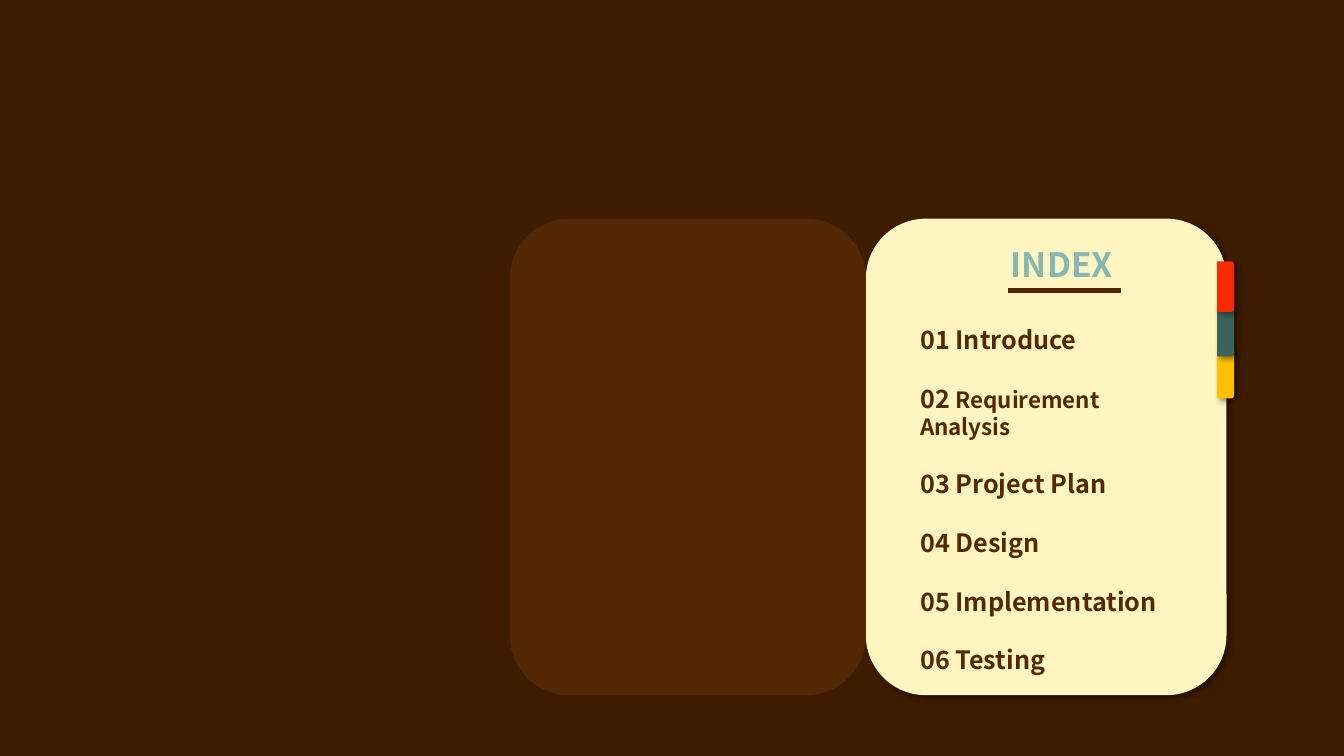
from dataclasses import dataclass

import pptx
import pptx.dml.color
import pptx.enum.shapes
import pptx.enum.text
import pptx.oxml
import pptx.oxml.ns
import pptx.util
from pptx.dml.color import RGBColor
from pptx.util import Cm

FONT = "Noto Sans CJK KR"
BACKGROUND = RGBColor(0x3D, 0x1C, 0x00)
BROWN = RGBColor(0x54, 0x28, 0x04)
CREAM = RGBColor(0xFF, 0xF5, 0xC0)
YELLOW = RGBColor(0xFF, 0xC0, 0x00)
GREEN = RGBColor(0x3B, 0x63, 0x5D)
RED = RGBColor(0xFA, 0x2A, 0x00)
TEAL = RGBColor(0x86, 0xB8, 0xB1)

SHAPE = pptx.enum.shapes.MSO_SHAPE
SHADOW_XML = (
    f'<a:effectLst {pptx.oxml.ns.nsdecls("a")}>'
    '<a:outerShdw blurRad="50800" dist="38100" dir="2700000" algn="tl" rotWithShape="0">'
    '<a:srgbClr val="000000"><a:alpha val="40000"/></a:srgbClr>'
    '</a:outerShdw></a:effectLst>'
)


@dataclass
class Panel:
    left: float
    top: float
    width: float
    height: float
    color: RGBColor
    kind: int = SHAPE.ROUNDED_RECTANGLE
    rotation: float = 0
    shadow: bool = True


@dataclass
class Entry:
    number: str
    label: str
    size: float = 18


PANELS = [
    Panel(21.82, 5.51, 9.09, 12.01, CREAM),
    Panel(12.85, 5.51, 8.97, 12.01, BROWN, shadow=False),
] + [
    Panel(30.25, top, 1.27, 0.43, color, SHAPE.ROUND_2_SAME_RECTANGLE, 90)
    for top, color in ((9.19, YELLOW), (8.13, GREEN), (7.01, RED))
]
ENTRIES = [
    Entry("01", "Introduce"),
    Entry("02", "Requirement Analysis", 16),
    Entry("03", "Project Plan"),
    Entry("04", "Design"),
    Entry("05", "Implementation"),
    Entry("06", "Testing"),
]


def add_panel(s: pptx.slide.Slide, panel: Panel) -> None:
    sp = s.shapes.add_shape(panel.kind, Cm(panel.left), Cm(panel.top),
                            Cm(panel.width), Cm(panel.height))
    sp.rotation = panel.rotation
    sp.fill.solid()
    sp.fill.fore_color.rgb = panel.color
    sp.line.fill.background()
    sp.shadow.inherit = False
    if panel.shadow:
        props = sp.element.spPr
        props.remove(props.find(pptx.oxml.ns.qn("a:effectLst")))
        props.append(pptx.oxml.parse_xml(SHADOW_XML))


def add_text(p, text: str, *, size: float = 18, color: RGBColor = BROWN,
             bold: bool = True) -> None:
    r = p.add_run()
    r.text = text
    r.font.name = FONT
    r.font.size = pptx.util.Pt(size)
    r.font.bold = bold
    r.font.color.rgb = color


def add_title(s: pptx.slide.Slide) -> None:
    sp = s.shapes.title
    sp.left, sp.top, sp.width, sp.height = Cm(25.22), Cm(6.02), Cm(3.12), Cm(1.27)
    # Bring the title in front of the card
    sp.element.getparent().append(sp.element)
    tf = sp.text_frame
    tf.word_wrap = False
    tf.auto_size = pptx.enum.text.MSO_AUTO_SIZE.NONE
    tf.vertical_anchor = pptx.enum.text.MSO_ANCHOR.TOP
    p = tf.paragraphs[0]
    p.alignment = pptx.enum.text.PP_ALIGN.LEFT
    p.space_before = pptx.util.Pt(0)
    add_text(p, "INDEX", size=24, color=TEAL)


def add_underline(s: pptx.slide.Slide) -> None:
    line = s.shapes.add_connector(pptx.enum.shapes.MSO_CONNECTOR.STRAIGHT,
                                  Cm(25.4), Cm(7.32), Cm(28.24), Cm(7.32))
    line.line.color.rgb = BROWN
    line.line.width = pptx.util.Pt(3)
    line.element.spPr.append(pptx.oxml.parse_xml(
        f'<a:effectLst {pptx.oxml.ns.nsdecls("a")}/>'))


def add_entries(s: pptx.slide.Slide) -> None:
    tf = s.shapes.add_textbox(Cm(22.94), Cm(8.05), Cm(7.34), Cm(8.71)).text_frame
    tf.word_wrap = True
    for i, entry in enumerate(ENTRIES):
        p = tf.add_paragraph() if i else tf.paragraphs[0]
        p.space_before = pptx.util.Pt(20.3 if i else 0)
        add_text(p, f"{entry.number} ")
        add_text(p, entry.label, size=entry.size)


def main() -> None:
    prs = pptx.Presentation()
    prs.slide_width, prs.slide_height = Cm(33.87), Cm(19.05)
    s = prs.slides.add_slide(prs.slide_layouts.get_by_name("Title Only"))
    s.background.fill.solid()
    s.background.fill.fore_color.rgb = BACKGROUND
    for panel in PANELS:
        add_panel(s, panel)
    add_title(s)
    add_underline(s)
    add_entries(s)
    prs.save("out.pptx")


if __name__ == "__main__":
    main()
